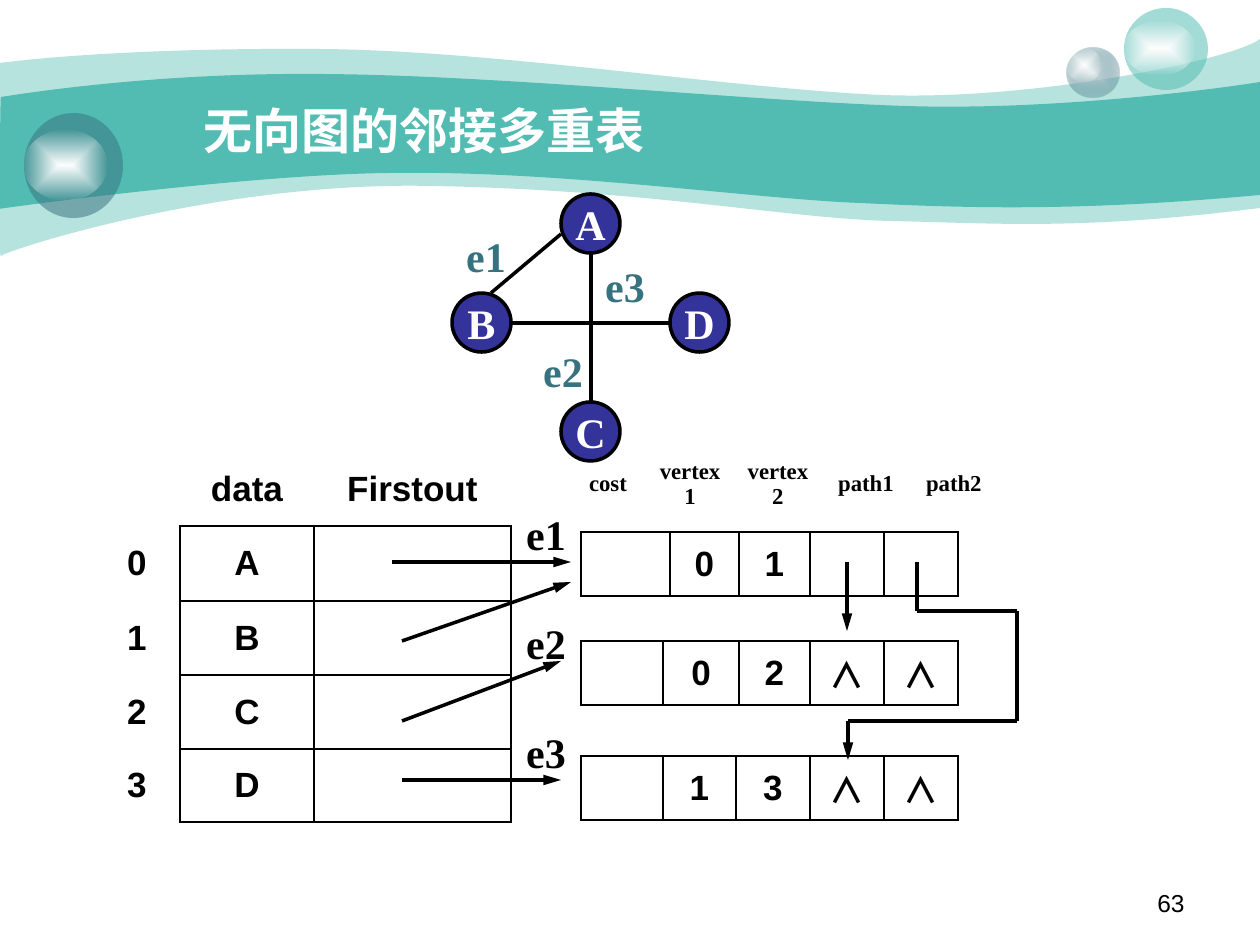
"""Build the slide on the adjacency multilist of an undirected graph."""
from lxml.etree import SubElement
from pptx import Presentation
from pptx.dml.color import RGBColor
from pptx.enum.shapes import MSO_CONNECTOR, MSO_SHAPE
from pptx.enum.text import MSO_ANCHOR, PP_ALIGN
from pptx.oxml import parse_xml
from pptx.oxml.ns import nsdecls, qn
from pptx.util import Emu, Pt

PX = 914400 / 126
BLACK, WHITE, TEAL, SLATE, NAVY = "000000", "FFFFFF", "52BCB2", "37737F", "333399"
SERIF, SANS, CJK = "Times New Roman", "Arial", "Noto Sans CJK SC"


def px(*lengths):
    return [Emu(round(length * PX)) for length in lengths]


def write(text_frame, text, size, font_name, color, align=PP_ALIGN.CENTER, bold=True):
    text_frame.text = text
    paragraph = text_frame.paragraphs[0]
    paragraph.alignment = align
    for run in paragraph.runs:
        run.font.size, run.font.bold, run.font.name = Pt(size), bold, font_name
        run.font.color.rgb = RGBColor.from_string(color)
        SubElement(run.font._element, qn("a:ea"), typeface=CJK)


presentation = Presentation()
presentation.slide_width, presentation.slide_height = px(1260, 945)
slide = presentation.slides.add_slide(presentation.slide_layouts[6])
shapes = slide.shapes

waves = [
    (41, (0, 63),
     [(30, 59), (135, 48), (311, 49), (486, 49), (725, 88), (881, 95),
      (1036, 101), (1235, 59), (1260, 39)],
     [(1260, 208), (1079, 231), (992, 223), (888, 221), (784, 218), (649, 190), (432, 186),
      (217, 181), (5, 251), (1, 256), (-2, 262), (0, 95), (0, 63)]),
    (100, (1, 97),
     [(3, 97), (139, 73), (312, 74), (486, 74), (750, 101), (905, 106),
      (1060, 111), (1230, 87), (1260, 82)],
     [(1260, 195), (1075, 212), (964, 208), (859, 203), (755, 199), (563, 171), (399, 173),
      (256, 173), (-3, 209), (-1, 209), (0, 209), (0, 97), (1, 97)]),
]
for alpha, start, upper, lower in waves:
    builder = shapes.build_freeform(*px(*start), scale=1.0)
    builder.add_line_segments([px(*point) for point in upper + lower], close=True)
    wave = builder.convert_to_shape()
    segments = list(wave._element.iter(qn("a:lnTo")))
    curved = segments[:len(upper)] + segments[len(upper) + 1:len(upper) + len(lower)]
    for first, second, third in zip(curved[::3], curved[1::3], curved[2::3]):
        first.tag = qn("a:cubicBezTo")
        for segment in (second, third):
            first.append(segment[0])
            segment.getparent().remove(segment)
    wave.shadow.inherit = False
    wave.line.fill.background()
    wave.fill.solid()
    wave.fill.fore_color.rgb = RGBColor.from_string(TEAL)
    if alpha < 100:
        color_element = wave._element.spPr.find(qn("a:solidFill"))[0]
        SubElement(color_element, qn("a:alpha"), val=str(alpha * 1000))

bubbles = [
    ((1067, 48, 53, 50), ("CCDBDE", 100), (SLATE, 31)),
    ((1067, 48, 35, 34), (WHITE, 100), (WHITE, 0)),
    ((1124, 8, 84, 82), (TEAL, 53), (TEAL, 53)),
    ((1124, 21, 71, 54), (WHITE, 100), (WHITE, 0)),
    ((24, 113, 99, 105), (SLATE, 53), (SLATE, 53)),
    ((24, 130, 83, 70), (WHITE, 100), (WHITE, 0)),
]
for box, inner, outer in bubbles:
    bubble = shapes.add_shape(MSO_SHAPE.OVAL, *px(*box))
    bubble.shadow.inherit = False
    bubble.line.fill.background()
    inner_color, outer_color = (
        f'<a:srgbClr val="{color}"><a:alpha val="{alpha * 1000}"/></a:srgbClr>'
        for color, alpha in (inner, outer))
    if inner == outer:
        fill = f'<a:solidFill {nsdecls("a")}>{inner_color}</a:solidFill>'
    else:
        fill = (f'<a:gradFill {nsdecls("a")}><a:gsLst><a:gs pos="0">{inner_color}</a:gs>'
                f'<a:gs pos="100000">{outer_color}</a:gs></a:gsLst><a:path path="rect">'
                '<a:fillToRect l="50000" t="50000" r="50000" b="50000"/></a:path></a:gradFill>')
    bubble._element.spPr.find(qn("a:prstGeom")).addnext(parse_xml(fill))

labels = [
    ("63", (903, 882, 294, 44), 14, SANS, BLACK, PP_ALIGN.RIGHT, False),
    ("无向图的邻接多重表", (147, 94, 566, 72), 28, SERIF, WHITE, PP_ALIGN.LEFT, True),
]
for text, left, top, color in [
    ("e1", 431, 224, SLATE), ("e2", 508, 339, SLATE), ("e3", 570, 254, SLATE),
    ("e1", 491, 502, BLACK), ("e2", 491, 611, BLACK), ("e3", 491, 720, BLACK),
]:
    labels.append((text, (left, top, 110, 63), 24, SERIF, color, PP_ALIGN.CENTER, True))
for text, box, size, font_name, color, align, bold in labels:
    label = shapes.add_textbox(*px(*box))
    label.text_frame.word_wrap = True
    if size == 28:
        label.text_frame.margin_left = px(57)[0]
    write(label.text_frame, text, size, font_name, color, align, bold)

edge_columns = [(89, 69, 71, 74, 74), (82, 76, 71, 74, 74), (82, 73, 74, 74, 74)]
edge_values = [["", "0", "1", "", ""], ["", "0", "2", "∧", "∧"], ["", "1", "3", "∧", "∧"]]
tables = [(581, top, columns, [64], [values], 0, 20, SANS)
          for top, columns, values in zip((532, 641, 756), edge_columns, edge_values)]
vertex_rows = [["", "data", "Firstout"]] + [[str(i), name, ""] for i, name in enumerate("ABCD")]
tables.append((94, 452, (86, 134, 197), (74, 75, 74, 74, 73), vertex_rows, 1, 20, SANS))
captions = ["cost", "vertex1", "vertex2", "path1", "path2"]
tables.append((570, 443, (76, 88, 88, 88, 88), [82], [captions], 9, 13, SERIF))
for left, top, columns, rows, values, first_boxed, size, font_name in tables:
    frame = shapes.add_table(len(rows), len(columns), *px(left, top, sum(columns), sum(rows)))
    table = frame.table
    table.first_row = table.horz_banding = False
    for column, width in zip(table.columns, px(*columns)):
        column.width = width
    for row, height in zip(table.rows, px(*rows)):
        row.height = height
    for r, row_values in enumerate(values):
        for c, value in enumerate(row_values):
            cell = table.cell(r, c)
            cell.vertical_anchor = MSO_ANCHOR.MIDDLE
            cell.fill.background()
            write(cell.text_frame, value, size, CJK if value == "∧" else font_name, BLACK)
            corners = {"L": (r, c), "R": (r, c + 1), "T": (r, c), "B": (r + 1, c)}
            for index, (side, corner) in enumerate(corners.items()):
                paint = "<a:noFill/>"
                if min(corner) >= first_boxed:
                    paint = f'<a:solidFill><a:srgbClr val="{BLACK}"/></a:solidFill>'
                border = f'<a:ln{side} {nsdecls("a")} w="{Pt(1.08)}">{paint}</a:ln{side}>'
                cell._tc.get_or_add_tcPr().insert(index, parse_xml(border))

lines = [
    (392, 562, 571, 562, True), (402, 641, 571, 582, True),
    (402, 721, 561, 661, True), (402, 780, 561, 780, True),
    (847, 562, 847, 631, True), (917, 562, 917, 611, False),
    (917, 611, 1017, 611, False), (1017, 611, 1017, 721, False),
    (1017, 721, 848, 721, False), (848, 721, 848, 760, True),
    (511, 323, 669, 323, False), (591, 254, 591, 402, False),
    (561, 234, 491, 293, False),
]
for *ends, has_arrow in lines:
    connector = shapes.add_connector(MSO_CONNECTOR.STRAIGHT, *px(*ends))
    connector.line.width = Pt(2)
    connector.line.color.rgb = RGBColor.from_string(BLACK)
    if has_arrow:
        SubElement(connector.line._get_or_add_ln(), qn("a:tailEnd"),
                   type="triangle", w="med", len="lg")
    SubElement(connector._element.spPr, qn("a:effectLst"))

for name, left, top in [("A", 561, 194), ("C", 561, 402), ("B", 452, 293), ("D", 670, 293)]:
    node = shapes.add_shape(MSO_SHAPE.OVAL, *px(left, top, 59, 59))
    node.shadow.inherit = False
    node.fill.solid()
    node.fill.fore_color.rgb = RGBColor.from_string(NAVY)
    node.line.color.rgb = RGBColor.from_string(BLACK)
    node.line.width = Pt(2)
    node.text_frame.word_wrap = False
    node.text_frame.vertical_anchor = MSO_ANCHOR.MIDDLE
    write(node.text_frame, name, 24, SERIF, WHITE)

presentation.save("out.pptx")
